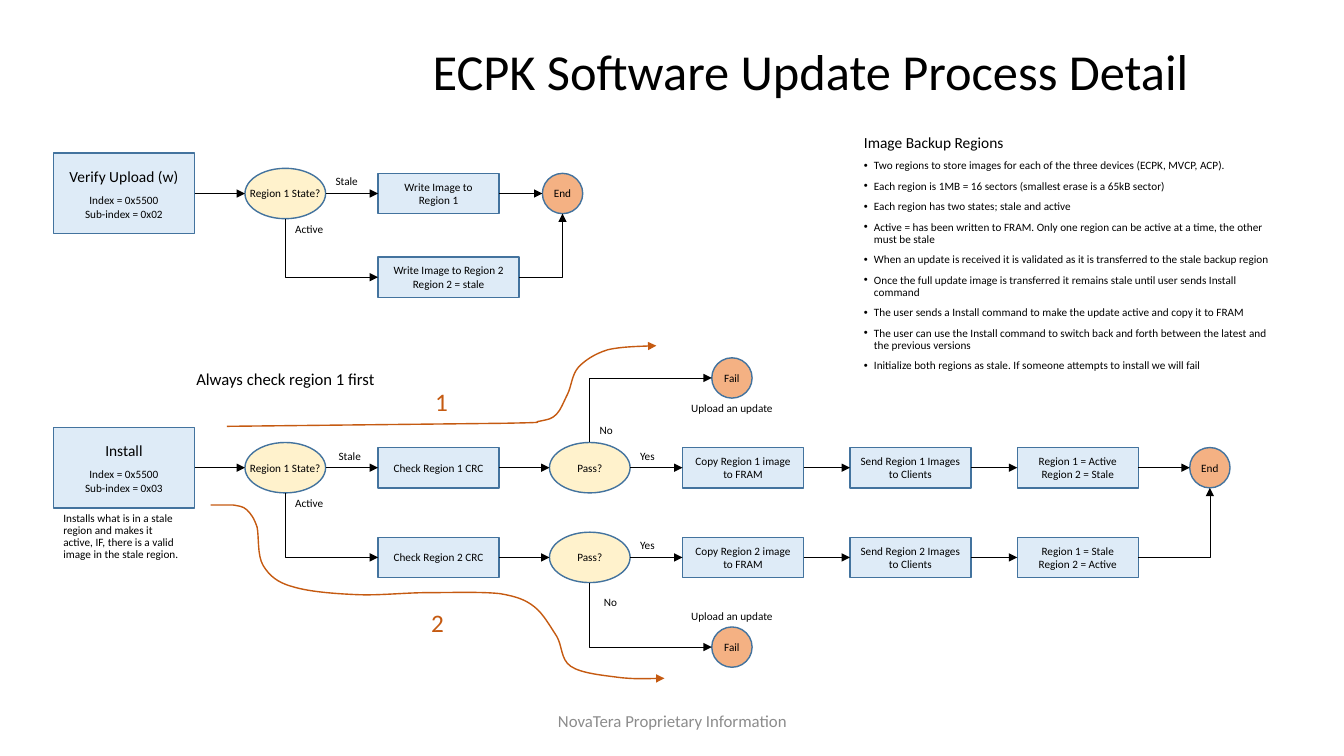
from pptx import Presentation
from pptx.dml.color import RGBColor
from pptx.enum.shapes import MSO_CONNECTOR, MSO_SHAPE
from pptx.enum.text import MSO_ANCHOR, MSO_AUTO_SIZE, PP_ALIGN
from pptx.oxml.ns import qn
from pptx.util import Inches, Pt
from lxml import etree

RECTANGLE, OVAL = MSO_SHAPE.RECTANGLE, MSO_SHAPE.OVAL
STRAIGHT, ELBOW = MSO_CONNECTOR.STRAIGHT, MSO_CONNECTOR.ELBOW
LEFT_ALIGN, CENTER = PP_ALIGN.LEFT, PP_ALIGN.CENTER
TOP_ANCHOR, MIDDLE = MSO_ANCHOR.TOP, MSO_ANCHOR.MIDDLE
NO_AUTOFIT = MSO_AUTO_SIZE.NONE
TOP, LEFT, BOTTOM, RIGHT = range(4)

FONT = "Calibri"
BLACK, GRAY, ORANGE = "000000", "8C8C8C", "C55A11"
BLUE, YELLOW, PEACH, BORDER = "DEEBF7", "FFF2CC", "F4B183", "43739E"

STEP, WIDE_STEP, COMMAND = (1.2, 0.4), (1.4, 0.4), (1.4, 0.8)
DECISION, TERMINAL = (0.8, 0.5), (0.4, 0.4)
COMMAND_X, STATE_X, CHECK_X, PASS_X, COPY_X, END_X = 0.7, 2.3, 3.82, 5.32, 6.84, 11.47
STEP_PITCH = 1.66

NOTES = [
    "Image Backup Regions",
    "Two regions to store images for each of the three devices (ECPK, MVCP, ACP).",
    "Each region is 1MB = 16 sectors (smallest erase is a 65kB sector)",
    "Each region has two states; stale and active",
    "Active = has been written to FRAM. Only one region can be active at a time, the other must be stale",
    "When an update is received it is validated as it is transferred to the stale backup region",
    "Once the full update image is transferred it remains stale until user sends Install command",
    "The user sends a Install command to make the update active and copy it to FRAM",
    "The user can use the Install command to switch back and forth between the latest and the previous versions",
    "Initialize both regions as stale. If someone attempts to install we will fail",
]
ROUTE_ONE = [
    (2.25, 4.23), (3.16, 4.22), (4.08, 4.21), (4.99, 4.2), (5.51, 4.19), (5.26, 4.19), (5.35, 4.18),
    (5.44, 4.16), (5.47, 4.16), (5.52, 4.11), (5.56, 4.07), (5.59, 3.99), (5.63, 3.91),
    (5.67, 3.83), (5.67, 3.72), (5.74, 3.64), (5.81, 3.57), (5.9, 3.51), (6.03, 3.47),
    (6.16, 3.44), (6.51, 3.43), (6.51, 3.43),
]
ROUTE_TWO = [
    (2.09, 5.01), (2.17, 5.01), (2.25, 5.01), (2.31, 5.01), (2.36, 5.02), (2.41, 5.02), (2.45, 5.06),
    (2.49, 5.1), (2.52, 5.14), (2.55, 5.23), (2.57, 5.32), (2.55, 5.51), (2.61, 5.61),
    (2.67, 5.71), (2.75, 5.78), (2.9, 5.82), (3.06, 5.87), (3.31, 5.89), (3.54, 5.9),
    (3.76, 5.91), (4.02, 5.88), (4.25, 5.88), (4.49, 5.88), (4.78, 5.87), (4.96, 5.89),
    (5.13, 5.92), (5.21, 5.95), (5.3, 6.02), (5.39, 6.09), (5.46, 6.22), (5.52, 6.31),
    (5.58, 6.41), (5.56, 6.54), (5.66, 6.61), (5.76, 6.68), (5.98, 6.7), (6.13, 6.72),
    (6.29, 6.74), (6.52, 6.73), (6.59, 6.73),
]


def color(value):
    return RGBColor.from_string(value)


def write(shape, text, size=8, align=CENTER, anchor=MIDDLE, ink=BLACK, spacing=1.0, wrap=True):
    frame = shape.text_frame
    frame.text = text
    frame.word_wrap = wrap
    frame.auto_size = NO_AUTOFIT
    frame.vertical_anchor = anchor
    for paragraph in frame.paragraphs:
        paragraph.alignment = align
        paragraph.line_spacing = spacing
        for run in paragraph.runs:
            run.font.name = FONT
            run.font.size = Pt(size)
            run.font.color.rgb = color(ink)


def add_text(slide, box, text, align=LEFT_ALIGN, anchor=TOP_ANCHOR, spacing=0.9, **style):
    shape = slide.shapes.add_textbox(*map(Inches, box))
    write(shape, text, align=align, anchor=anchor, spacing=spacing, **style)
    return shape


def add_node(slide, kind, fill, size, center, text):
    width, height = size
    box = (center[0] - width / 2, center[1] - height / 2, width, height)
    shape = slide.shapes.add_shape(kind, *map(Inches, box))
    shape.shadow.inherit = False
    shape.fill.solid()
    shape.fill.fore_color.rgb = color(fill)
    shape.line.color.rgb = color(BORDER)
    shape.line.width = Pt(1)
    write(shape, text, wrap=kind == RECTANGLE)
    return shape


def add_step(slide, center, text, size=STEP):
    return add_node(slide, RECTANGLE, BLUE, size, center, text)


def add_decision(slide, center, text):
    return add_node(slide, OVAL, YELLOW, DECISION, center, text)


def add_terminal(slide, center, text):
    return add_node(slide, OVAL, PEACH, TERMINAL, center, text)


def add_command(slide, center, text):
    shape = add_step(slide, center, text, COMMAND)
    heading = shape.text_frame.paragraphs[0]
    heading.space_after = Pt(6)
    heading.runs[0].font.size = Pt(11)
    return shape


def side_point(shape, side):
    across = {LEFT: 0, RIGHT: shape.width}.get(side, shape.width // 2)
    down = {TOP: 0, BOTTOM: shape.height}.get(side, shape.height // 2)
    return shape.left + across, shape.top + down


def add_arrowhead(shape, end="tailEnd"):
    etree.SubElement(shape.element.spPr.find(qn("a:ln")), qn("a:" + end), type="triangle")


def draw_connector(slide, kind, start, finish, arrow_end):
    connector = slide.shapes.add_connector(kind, *start, *finish)
    connector.line.color.rgb = color(BLACK)
    connector.line.width = Pt(0.5)
    add_arrowhead(connector, arrow_end)
    etree.SubElement(connector.element.spPr, qn("a:effectLst"))
    return connector


def connect_row(slide, nodes):
    for source, target in zip(nodes, nodes[1:]):
        connector = draw_connector(slide, STRAIGHT, side_point(source, RIGHT), side_point(target, LEFT), "tailEnd")
        if source.auto_shape_type == RECTANGLE:
            connector.begin_connect(source, RIGHT)
        if target.auto_shape_type == RECTANGLE:
            connector.end_connect(target, LEFT)


def connect_corner(slide, level_node, level_side, upright_node, upright_side, arrow_end):
    connector = draw_connector(slide, ELBOW, side_point(level_node, level_side),
                               side_point(upright_node, upright_side), arrow_end)
    connector.element.spPr.find(qn("a:prstGeom")).set("prst", "bentConnector2")


def label_branch(slide, node, side, text, right=0.0, down=-0.22):
    x, y = side_point(node, side)
    add_text(slide, (x / Inches(1) + right, y / Inches(1) + down, 0.6, 0.22), text)


def add_route(slide, points, number, blank_height):
    start, *rest = [tuple(map(Inches, point)) for point in points]
    builder = slide.shapes.build_freeform(*start, scale=1.0)
    builder.add_line_segments(rest, close=False)
    shape = builder.convert_to_shape()
    shape.shadow.inherit = False
    shape.fill.background()
    shape.line.color.rgb = color(ORANGE)
    shape.line.width = Pt(1)
    add_arrowhead(shape)
    outline = next(shape.element.iter(qn("a:path")))
    segments = outline.findall(qn("a:lnTo"))
    for first in range(0, len(segments), 3):
        curve = etree.SubElement(outline, qn("a:cubicBezTo"))
        for segment in segments[first:first + 3]:
            curve.append(segment[0])
            outline.remove(segment)
    write(shape, number, size=18, ink=ORANGE)
    shape.text_frame.margin_top = Inches(0.05 + blank_height)


def add_title(slide, box):
    title = slide.shapes.title
    title.left, title.top, title.width, title.height = map(Inches, box)
    write(title, "ECPK Software Update Process Detail", 36, LEFT_ALIGN, TOP_ANCHOR, spacing=0.9)


def add_notes(slide, box):
    shape = add_text(slide, box, "\n".join(NOTES))
    heading, *bullets = shape.text_frame.paragraphs
    heading.runs[0].font.size = Pt(11)
    heading.space_after = Pt(6)
    for paragraph in bullets:
        paragraph.space_after = Pt(6)
        properties = paragraph._p.get_or_add_pPr()
        properties.set("marL", str(Inches(0.1)))
        properties.set("indent", str(-Inches(0.1)))
        etree.SubElement(properties, qn("a:buFont"), typeface="Arial")
        etree.SubElement(properties, qn("a:buChar"), char="•")


def add_verify_flow(slide, left, middle, pitch):
    command = add_command(slide, (left + COMMAND_X, middle), "Verify Upload (w)\nIndex = 0x5500\nSub-index = 0x02")
    state = add_decision(slide, (left + STATE_X, middle), "Region 1 State?")
    stale = add_step(slide, (left + CHECK_X, middle), "Write Image to Region 1")
    active = add_step(slide, (left + CHECK_X + 0.1, middle + pitch),
                      "Write Image to Region 2\nRegion 2 = stale", WIDE_STEP)
    end = add_terminal(slide, (left + 5.05, middle), "End")
    connect_row(slide, [command, state, stale, end])
    connect_corner(slide, active, LEFT, state, BOTTOM, "headEnd")
    connect_corner(slide, active, RIGHT, end, BOTTOM, "tailEnd")
    label_branch(slide, state, RIGHT, "Stale")
    label_branch(slide, state, BOTTOM, "Active", down=0)


def add_install_lane(slide, left, middle, region, results):
    check = add_step(slide, (left + CHECK_X, middle), f"Check Region {region} CRC")
    decision = add_decision(slide, (left + PASS_X, middle), "Pass?")
    texts = [f"Copy Region {region} image to FRAM", f"Send Region {region} Images to Clients", results]
    steps = [add_step(slide, (left + COPY_X + index * STEP_PITCH, middle), text) for index, text in enumerate(texts)]
    label_branch(slide, decision, RIGHT, "Yes")
    return [check, decision, *steps]


def add_install_flow(slide, left, middle, pitch):
    command = add_command(slide, (left + COMMAND_X, middle), "Install\nIndex = 0x5500\nSub-index = 0x03")
    state = add_decision(slide, (left + STATE_X, middle), "Region 1 State?")
    end = add_terminal(slide, (left + END_X, middle), "End")
    stale = add_install_lane(slide, left, middle, 1, "Region 1 = Active\nRegion 2 = Stale")
    active = add_install_lane(slide, left, middle + pitch, 2, "Region 1 = Stale\nRegion 2 = Active")
    connect_row(slide, [command, state, *stale, end])
    connect_row(slide, active)
    connect_corner(slide, active[0], LEFT, state, BOTTOM, "headEnd")
    connect_corner(slide, active[-1], RIGHT, end, BOTTOM, "tailEnd")
    label_branch(slide, state, RIGHT, "Stale", right=0.03)
    label_branch(slide, state, BOTTOM, "Active", down=0)
    label_branch(slide, stale[1], TOP, "No")
    label_branch(slide, active[1], BOTTOM, "No", right=0.04, down=0.09)
    failures = [(stale[1], TOP, -pitch, 0.2), (active[1], BOTTOM, 2 * pitch, -0.41)]
    for decision, side, offset, caption_offset in failures:
        fail = add_terminal(slide, (left + 6.73, middle + offset), "Fail")
        connect_corner(slide, fail, LEFT, decision, side, "headEnd")
        add_text(slide, (left + 6.18, middle + offset + caption_offset, 1.1, 0.2), "Upload an update", CENTER)
    add_text(slide, (left, middle + 0.4, 1.4, 0.64),
             "Installs what is in a stale region and makes it active, IF, there is a valid image in the stale region.")
    add_text(slide, (left + 1.25, middle - 0.99, 2.1, 0.3), "Always check region 1 first",
             CENTER, spacing=0.8, size=11.9)


def main():
    presentation = Presentation()
    presentation.slide_width, presentation.slide_height = Inches(13.33), Inches(7.5)
    slide = presentation.slides.add_slide(presentation.slide_layouts[5])
    add_title(slide, (4.19, 0.42, 8.22, 0.5))
    add_notes(slide, (8.47, 1.29, 4.26, 2.48))
    add_verify_flow(slide, 0.53, 1.92, 0.83)
    add_install_flow(slide, 0.53, 4.64, 0.89)
    add_route(slide, ROUTE_ONE, "1", 0.3)
    add_route(slide, ROUTE_TWO, "2", 0.6)
    add_text(slide, (4.42, 6.95, 4.5, 0.4), "NovaTera Proprietary Information",
             CENTER, MIDDLE, spacing=1.0, size=12, ink=GRAY)
    presentation.save("out.pptx")


if __name__ == "__main__":
    main()
